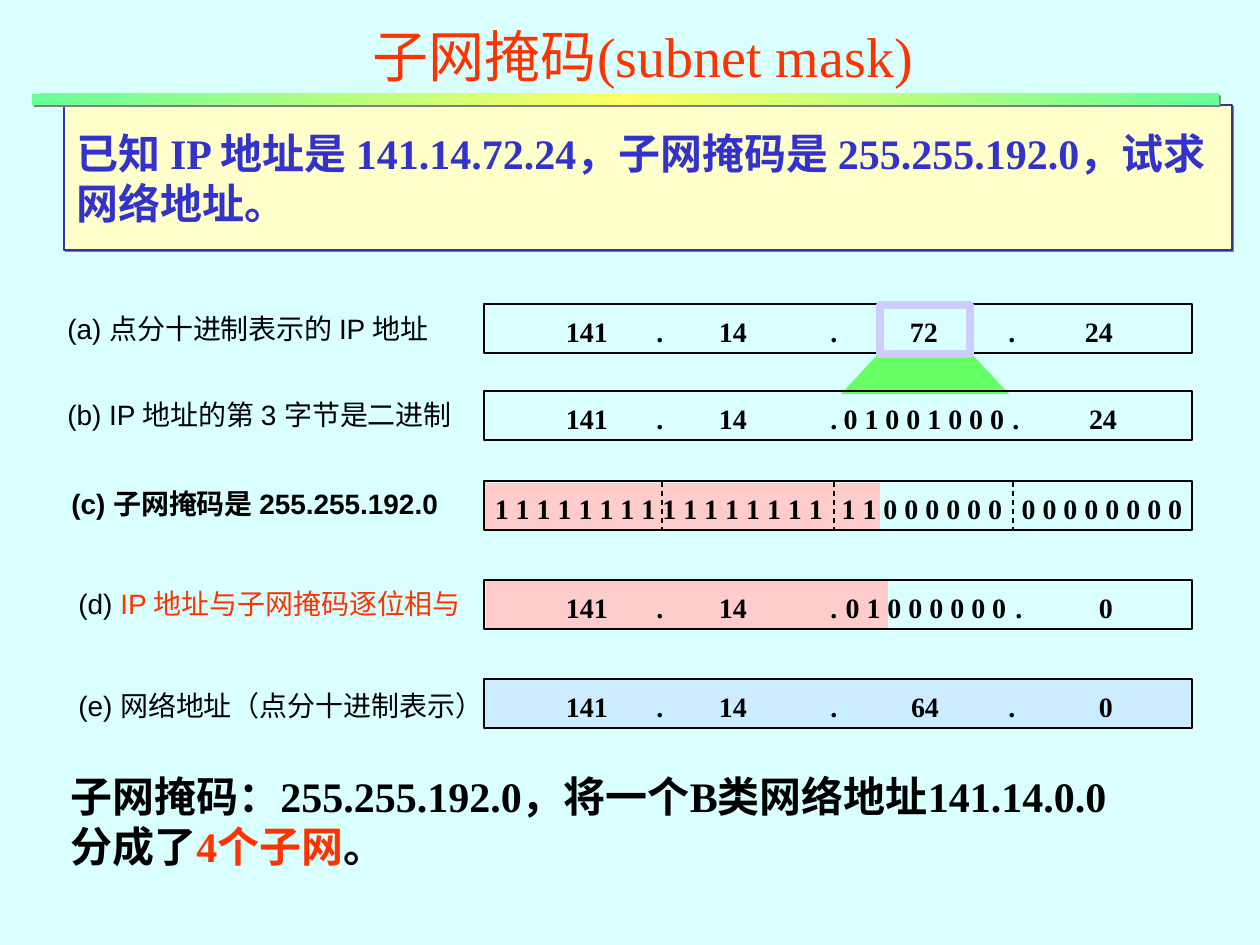
from copy import deepcopy
from dataclasses import dataclass

from lxml import etree
from pptx import Presentation
from pptx.dml.color import RGBColor
from pptx.enum.dml import MSO_LINE
from pptx.enum.shapes import MSO_CONNECTOR as Connector, MSO_SHAPE as Preset
from pptx.enum.text import MSO_ANCHOR as Anchor, MSO_AUTO_SIZE as AutoSize, PP_ALIGN as Align
from pptx.oxml.ns import qn
from pptx.util import Pt

SCALE = 914400 / 126  # EMU per px


@dataclass(frozen=True)
class Theme:
    background: str = "D9FFFF"
    text: str = "000000"
    accent: str = "FF3300"
    question: str = "3333CC"
    question_fill: str = "FFFFCC"
    question_line: str = "333399"
    network_bits: str = "FFCCCC"
    result_fill: str = "CCECFF"
    highlight: str = "CCCCFF"
    zoom: str = "66FF66"
    bar_end: str = "66FF99"
    bar_middle: str = "FFFF66"
    shadow: str = "808080"
    serif: str = "Times New Roman"
    sans: str = "Arial"
    title_size: int = 32
    body_size: int = 24
    row_size: int = 16
    thin: float = 0.75
    thick: float = 4.5


def emu(*lengths):
    return [round(length * SCALE) for length in lengths]


def rgb(colour):
    return RGBColor.from_string(colour)


class SlideBuilder:
    def __init__(self, slide, theme):
        self.slide, self.theme = slide, theme
        slide.background.fill.solid()
        slide.background.fill.fore_color.rgb = rgb(theme.background)

    def set_text(self, shape, paragraphs, font, size, bold=False, align=Align.LEFT,
                 anchor=Anchor.TOP, wrap=True):
        """Each paragraph is a list of (text, colour) runs."""
        frame = shape.text_frame
        frame.word_wrap, frame.auto_size = wrap, AutoSize.NONE
        frame.vertical_anchor = anchor
        for index, runs in enumerate(paragraphs):
            paragraph = frame.add_paragraph() if index else frame.paragraphs[0]
            paragraph.alignment = align
            paragraph.space_before = Pt(0)
            for text, colour in runs:
                run = paragraph.add_run()
                run.text = text
                run.font.name, run.font.size, run.font.bold = font, Pt(size), bold
                run.font.color.rgb = rgb(colour)

    def text(self, box, paragraphs, font, size, **style):
        shape = self.slide.shapes.add_textbox(*emu(*box))
        self.set_text(shape, paragraphs, font, size, **style)
        return shape

    def placeholder(self, index, box, paragraphs, size, **style):
        shape = self.slide.placeholders[index]
        shape.left, shape.top, shape.width, shape.height = emu(*box)
        self.set_text(shape, paragraphs, self.theme.serif, size, **style)
        return shape

    def paint(self, shape, fill=None, line=None, weight=None):
        shape.shadow.inherit = False
        if fill:
            shape.fill.solid()
            shape.fill.fore_color.rgb = rgb(fill)
        else:
            shape.fill.background()
        if line:
            shape.line.color.rgb = rgb(line)
            shape.line.width = Pt(weight or self.theme.thin)
        else:
            shape.line.fill.background()

    def rectangle(self, box, **style):
        shape = self.slide.shapes.add_shape(Preset.RECTANGLE, *emu(*box))
        self.paint(shape, **style)
        return shape

    def polygon(self, points, **style):
        start, *others = points
        builder = self.slide.shapes.build_freeform(*start, scale=SCALE)
        builder.add_line_segments(others, close=True)
        self.paint(builder.convert_to_shape(), **style)

    def dashed_line(self, x, top, bottom):
        line = self.slide.shapes.add_connector(
            Connector.STRAIGHT, *emu(x, top, x, bottom))
        line.line.color.rgb = rgb(self.theme.text)
        line.line.width = Pt(self.theme.thin)
        line.line.dash_style = MSO_LINE.DASH
        etree.SubElement(line._element.spPr, qn("a:effectLst"))

    def drop_shadow(self, shape):
        effects = shape._element.spPr.find(qn("a:effectLst"))
        shadow = etree.SubElement(effects, qn("a:outerShdw"), blurRad="0",
                                  dist=str(int(Pt(1.4))), dir="2700000", algn="ctr")
        etree.SubElement(shadow, qn("a:srgbClr"), val=self.theme.shadow)

    def gradient_bar(self, box):
        shape = self.rectangle(box)
        shape.fill.gradient()
        shape.fill.gradient_angle = 135
        first, middle = shape.fill.gradient_stops
        first.color.rgb, middle.color.rgb = rgb(self.theme.bar_end), rgb(self.theme.bar_middle)
        first.position, middle.position = 0, 0.5
        last = deepcopy(first._gs)
        last.set("pos", "100000")
        first._gs.getparent().append(last)
        self.drop_shadow(shape)

    def field(self, text, centre, top):
        shape = self.text((centre - 20, top, 40, ROW_HEIGHT), [[(text, self.theme.text)]],
                          self.theme.serif, self.theme.row_size, bold=True,
                          align=Align.CENTER, anchor=Anchor.MIDDLE, wrap=False)
        frame = shape.text_frame
        frame.margin_left = frame.margin_right = frame.margin_top = frame.margin_bottom = 0


ROW_LEFT, ROW_WIDTH, ROW_HEIGHT = 484, 708, 49
PREFIX = [("141", 587), (".", 660), ("14", 733), (".", 834)]  # first two bytes


def bits(pattern):
    return " ".join(pattern)


def build(slide, theme):
    builder = SlideBuilder(slide, theme)
    black, red = theme.text, theme.accent

    # Title, question and divider
    builder.placeholder(0, (123, 0, 1040, 110), [[("子网掩码(subnet mask)", red)]],
                        theme.title_size, align=Align.CENTER, anchor=Anchor.MIDDLE)
    question = builder.placeholder(
        1, (64, 105, 1168, 145),
        [[("已知 IP 地址是 141.14.72.24，子网掩码是 255.255.192.0，试求网络地址。", theme.question)]],
        theme.body_size, bold=True, anchor=Anchor.MIDDLE)
    properties = question.text_frame.paragraphs[0]._p.get_or_add_pPr()
    properties.set("marL", "0")
    properties.set("indent", "0")
    etree.SubElement(properties, qn("a:buNone"))
    builder.paint(question, fill=theme.question_fill, line=theme.question_line)
    builder.drop_shadow(question)
    builder.gradient_bar((32, 94, 1187, 11))

    # Zoom from the third byte to its bits, and the network part of rows c and d
    builder.polygon([(880, 352), (970, 352), (1009, 394), (841, 394)], fill=theme.zoom)
    builder.rectangle((485, 483, 395, 48), fill=theme.network_bits)
    builder.rectangle((486, 581, 402, 48), fill=theme.network_bits)

    # Address rows: box top, label left, label top, label runs, fields with centres
    rows = [
        (304, 55, 305, [("(a) 点分十进制表示的 IP 地址", black)],
         PREFIX + [("72", 924), (".", 1012), ("24", 1099)]),
        (391, 55, 391, [("(b) IP 地址的第 3 字节是二进制", black)],
         PREFIX + [(bits("01001000"), 924), (".", 1016), ("24", 1103)]),
        (481, 59, 480, [("(c) 子网掩码是 255.255.192.0", black)],
         [(bits("1" * 16), 659), (bits("11000000"), 922), (bits("0" * 8), 1102)]),
        (580, 66, 580, [("(d) ", black), ("IP 地址与子网掩码逐位相与", red)],
         PREFIX + [(bits("01000000"), 926), (".", 1019), ("0", 1106)]),
        (679, 66, 682, [("(e) 网络地址（点分十进制表示）", black)],
         PREFIX + [("64", 925), (".", 1012), ("0", 1106)]),
    ]
    for top, label_left, label_top, label, fields in rows:
        is_mask, is_result = top == 481, top == 679
        builder.rectangle((ROW_LEFT, top, ROW_WIDTH, ROW_HEIGHT), line=black,
                          fill=theme.result_fill if is_result else None)
        builder.text((label_left, label_top, 420, 45), [label], theme.sans,
                     theme.row_size, bold=is_mask, wrap=False)
        for text, centre in fields:
            builder.field(text, centre, top + 3)

    # Byte borders of the mask and frame around the third byte
    for x in (662, 834, 1013):
        builder.dashed_line(x, 482, 530)
    builder.rectangle((880, 305, 90, 49), line=theme.highlight, weight=theme.thick)

    # Conclusion
    builder.text((58, 764, 1111, 113), [
        [("子网掩码：255.255.192.0，将一个B类网络地址141.14.0.0", black)],
        [("分成了", black), ("4个子网", red), ("。", black)],
    ], theme.serif, theme.body_size, bold=True)


def main():
    presentation = Presentation()
    presentation.slide_width, presentation.slide_height = emu(1260, 945)
    slide = presentation.slides.add_slide(presentation.slide_layouts[1])
    build(slide, Theme())
    presentation.save("out.pptx")


if __name__ == "__main__":
    main()
